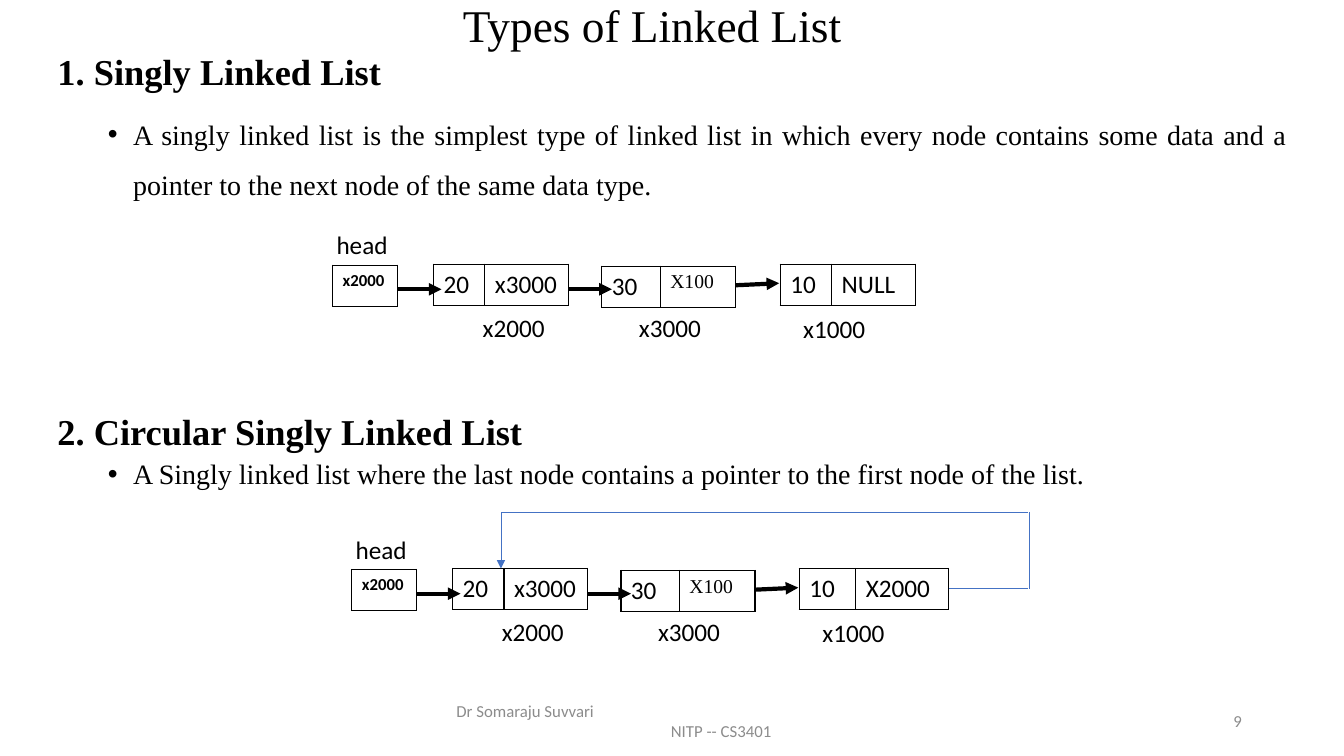
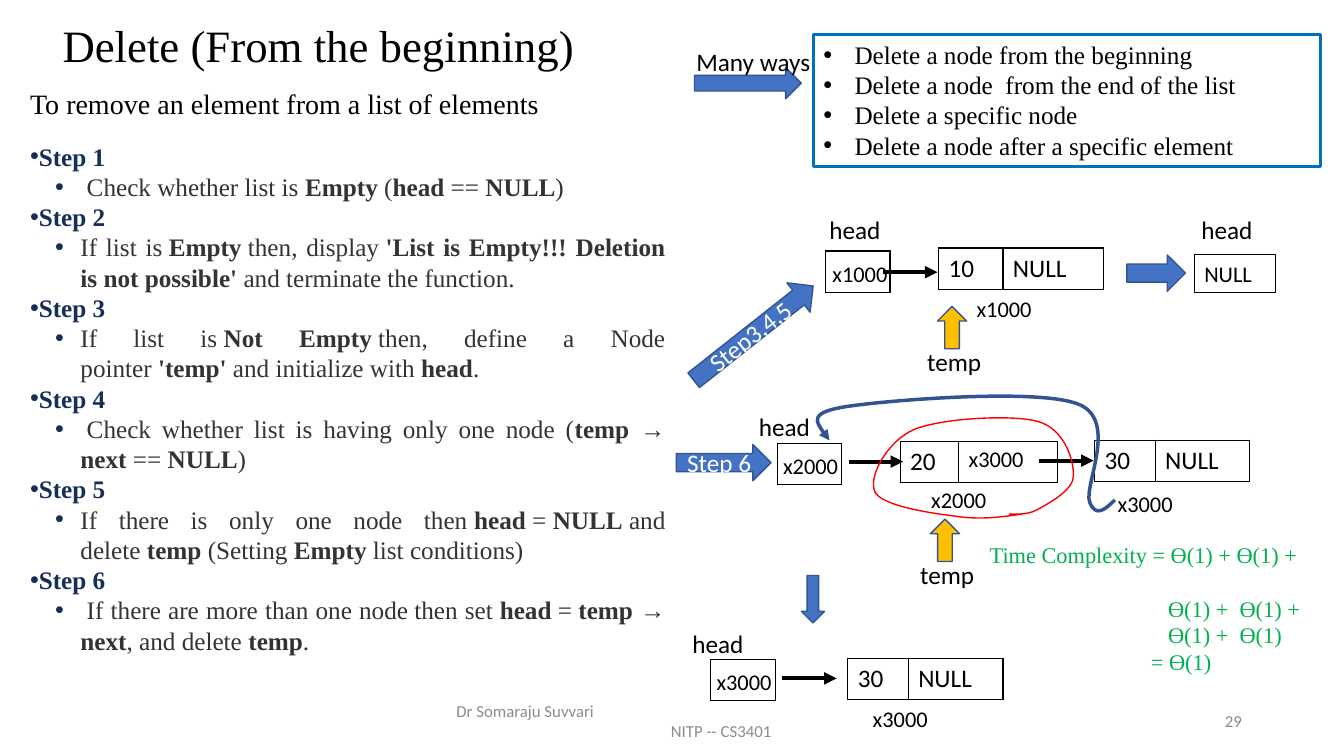
from lxml import etree
from pptx import Presentation
from pptx import util as u
from pptx.dml.color import RGBColor
from pptx.enum import shapes, text
from pptx.oxml.ns import qn

SERIF, SANS = "Times New Roman", "Calibri"
BLACK, WHITE, GREY, DARK = "000000", "FFFFFF", "8C8C8C", "333333"
BLUE, EDGE, NAVY, FRAME = "4472C4", "325491", "162F59", "0070C0"
GOLD, RED, GREEN = "FFC000", "FF0000", "00B050"
LEFT, MID = text.PP_ALIGN.LEFT, text.PP_ALIGN.CENTER
RIGHT, FULL = text.PP_ALIGN.RIGHT, text.PP_ALIGN.JUSTIFY
KIND = shapes.MSO_SHAPE

STEPS = [  # asterisks toggle bold, underscores are no-break spaces
    ("Step 1", "_Check whether list is_*Empty*_(*head*_==_*NULL*)"),
    ("Step 2", "If list is_*Empty*_then, display_*'List is Empty!!! Deletion "
               "is not possible'*_and terminate the function."),
    ("Step 3", "If list is_*Not Empty*_then, define a Node pointer_*'temp'*"
               "_and initialize with_*head*."),
    ("Step 4", "_Check whether list is having only one node (*temp → next*"
               "_==_*NULL*)"),
    ("Step 5", "If there is only one node then_*head*_=_*NULL*_and delete_"
               "*temp*_(Setting_*Empty*_list conditions)"),
    ("Step 6", "_If there are more than one node_then set_*head*_=_"
               "*temp → next*, and delete_*temp*."),
]
WAYS = ["Delete a node from the beginning",
        "Delete a node  from the end of the list",
        "Delete a specific node",
        "Delete a node after a specific element"]
RETURN = [(11.06, 4.96),
          (10.97, 5.05), (10.87, 5.14), (10.81, 4.98),
          (10.75, 4.82), (11.1, 4.17), (10.7, 4.01),
          (10.3, 3.85), (8.83, 3.97), (8.42, 4.03),
          (8.01, 4.09), (8.12, 4.23), (8.23, 4.37)]
LOOP = [(10.01, 5.1),
        (10.11, 5.1), (10.21, 5.11), (10.32, 5.04),
        (10.43, 4.98), (10.66, 4.85), (10.65, 4.71),
        (10.65, 4.56), (10.56, 4.25), (10.29, 4.18),
        (10.03, 4.11), (9.34, 4.15), (9.07, 4.26),
        (8.8, 4.38), (8.61, 4.73), (8.68, 4.88),
        (8.75, 5.02), (9.23, 5.09), (9.47, 5.12),
        (9.72, 5.16), (9.93, 5.13), (10.14, 5.1)]


def rgb(code):
    """Turn a hex string into a colour."""
    return RGBColor.from_string(code)


def emu(*sizes):
    """Turn inches into lengths."""
    return [u.Inches(s) for s in sizes]


def style(para, size, font=SANS, color=BLACK, bold=False, align=LEFT):
    """Format a paragraph and all its runs."""
    para.alignment = align
    for run in para.runs:
        run.font.size, run.font.name = u.Pt(size), font
        run.font.bold, run.font.color.rgb = bold, rgb(color)


def space(para, line, before=0):
    """Set line spacing and the gap above."""
    para.line_spacing, para.space_before = line, u.Pt(before)


def indent(para, left, first=0, dot=None):
    """Set indents and, given its colour, a round bullet."""
    props = para._p.get_or_add_pPr()
    props.set("marL", str(u.Inches(left)))
    props.set("indent", str(u.Inches(first)))
    if dot is None:
        etree.SubElement(props, qn("a:buNone"))
        return
    tint = etree.SubElement(props, qn("a:buClr"))
    etree.SubElement(tint, qn("a:srgbClr"), val=dot)
    etree.SubElement(props, qn("a:buFont"), typeface="Arial")
    etree.SubElement(props, qn("a:buChar"), char="•")


def place(shape, box):
    """Move and size a shape."""
    shape.left, shape.top, shape.width, shape.height = emu(*box)


def label(slide, words, box, size=18, font=SANS, color=BLACK, align=LEFT):
    """Add a text box, one paragraph per line of words."""
    frame = slide.shapes.add_textbox(*emu(*box)).text_frame
    frame.word_wrap = True
    frame.text = words
    for para in frame.paragraphs:
        style(para, size, font, color, align=align)
    return frame


def tag(slide, words, x, y, size=18):
    """Add a short caption of a node or pointer."""
    label(slide, words, (x, y, 1.22, 0.4 if size == 18 else 0.37), size)


def title(slide, words, box, size):
    """Fill the title placeholder."""
    shape = slide.shapes.title
    place(shape, box)
    frame = shape.text_frame
    frame.text = words
    frame.auto_size = text.MSO_AUTO_SIZE.NONE
    frame.vertical_anchor = text.MSO_ANCHOR.MIDDLE
    style(frame.paragraphs[0], size, SERIF, align=MID)
    space(frame.paragraphs[0], 0.9)


def footer(slide, number):
    """Add the author, course and slide number."""
    name = label(slide, "Dr Somaraju Suvvari\nNITP -- CS3401",
                 (4.43, 6.95, 4.5, 0.4), 12, color=GREY)
    name.paragraphs[1].alignment = MID
    indent(name.paragraphs[1], 0.95)
    page = label(slide, number, (9.42, 6.95, 3, 0.4), 12, color=GREY,
                 align=RIGHT)
    for frame in (name, page):
        frame.vertical_anchor = text.MSO_ANCHOR.MIDDLE


def border(cell):
    """Draw a thin black line on each side of a cell."""
    props = cell._tc.get_or_add_tcPr()
    for spot, side in enumerate(("lnL", "lnR", "lnT", "lnB")):
        line = etree.Element(qn("a:" + side), w=str(u.Pt(1)))
        fill = etree.SubElement(line, qn("a:solidFill"))
        etree.SubElement(fill, qn("a:srgbClr"), val=BLACK)
        props.insert(spot, line)


def node(slide, x, y, cols, words, **last):
    """Add a one-row table; extra style goes to its last cell."""
    table = slide.shapes.add_table(
        1, len(cols), *emu(x, y, sum(cols), 0.41)).table
    table.first_row = table.horz_banding = False
    for spot, (wide, word) in enumerate(zip(cols, words)):
        table.columns[spot].width = u.Inches(wide)
        cell = table.cell(0, spot)
        cell.text = word
        cell.fill.background()
        border(cell)
        extra = last if spot == len(cols) - 1 else {}
        style(cell.text_frame.paragraphs[0], **{"size": 18, **extra})


def head(shape):
    """Put an arrowhead at the end of a line."""
    line = shape.element.spPr.find(qn("a:ln"))
    etree.SubElement(line, qn("a:tailEnd"), type="triangle")


def link(slide, x, y, right, down, color=BLACK, width=3, arrow=True):
    """Add a straight line between two points."""
    line = slide.shapes.add_connector(
        shapes.MSO_CONNECTOR.STRAIGHT, *emu(x, y, right, down))
    line.line.width, line.line.color.rgb = u.Pt(width), rgb(color)
    if arrow:
        head(line)
    etree.SubElement(line.element.spPr, qn("a:effectLst"))


def paint(shape, fill, edge, width):
    """Set fill and outline, without a shadow."""
    shape.shadow.inherit = False
    if fill:
        shape.fill.solid()
        shape.fill.fore_color.rgb = rgb(fill)
    else:
        shape.fill.background()
    shape.line.color.rgb, shape.line.width = rgb(edge), u.Pt(width)


def block(slide, box, words="", kind=KIND.RIGHT_ARROW, fill=BLUE, turn=0):
    """Add a filled arrow with white text."""
    shape = slide.shapes.add_shape(kind, *emu(*box))
    paint(shape, fill, EDGE, 1)
    shape.rotation = turn
    if words:
        frame = shape.text_frame
        frame.text, frame.word_wrap = words, False
        frame.vertical_anchor = text.MSO_ANCHOR.MIDDLE
        style(frame.paragraphs[0], 18, color=WHITE, align=MID)


def panel(slide, box, words, edge, width, size, font):
    """Add an outlined box with text from its top left."""
    shape = slide.shapes.add_shape(KIND.RECTANGLE, *emu(*box))
    paint(shape, None, edge, width)
    frame = shape.text_frame
    frame.text, frame.word_wrap = words, True
    frame.vertical_anchor = text.MSO_ANCHOR.TOP
    for para in frame.paragraphs:
        style(para, size, font)
    return frame


def curve(slide, knots, color, width):
    """Draw a chain of cubic curves, three points to each."""
    form = slide.shapes.build_freeform(*emu(*knots[0]))
    form.add_line_segments([emu(*knot) for knot in knots[1:]], close=False)
    shape = form.convert_to_shape()
    legs = list(shape.element.iter(qn("a:lnTo")))
    for at in range(0, len(legs), 3):
        bend = etree.Element(qn("a:cubicBezTo"))
        legs[at].addprevious(bend)
        for leg in legs[at:at + 3]:
            bend.append(leg[0])
            leg.getparent().remove(leg)
    paint(shape, None, color, width)
    return shape


def chain(slide, x, y, cols, end):
    """Draw the head pointer and three linked nodes."""
    tag(slide, "head", x - 0.06, y - 0.4)
    node(slide, x, y, (0.64,), ("x2000",), size=12, bold=True)
    node(slide, x + 1, y - 0.01, (0.51, 0.83), ("20", "x3000"))
    node(slide, x + 4.44, y - 0.01, cols, ("10", end))
    node(slide, x + 2.67, y + 0.01, (0.58, 0.75), ("30", "X100"),
         size=14, font=SERIF)
    for word, dx, dy in (("x2000", 1.39, 0.42), ("x3000", 2.94, 0.42),
                         ("x1000", 4.57, 0.43)):
        tag(slide, word, x + dx, y + dy)
    for dx in (0.65, 2.34):
        link(slide, x + dx, y + 0.24, x + dx + 0.43, y + 0.24)
    link(slide, x + 4, y + 0.2, x + 4.43, y + 0.18)


def types(slide):
    """Build the slide on kinds of linked list."""
    title(slide, "Types of Linked List", (1.56, 0.07, 9.82, 0.42), 32.4)
    body = slide.placeholders[1]
    place(body, (0.47, 0.49, 12.4, 6.31))
    frame = body.text_frame
    frame.auto_size = text.MSO_AUTO_SIZE.NONE
    frame.text = (
        "1. Singly Linked List\n"
        "A singly linked list is the simplest type of linked list in which "
        "every node contains some data and a pointer to the next node of "
        "the same data type.\n"
        "2. Circular Singly Linked List\n"
        "A Singly linked list where the last node contains a pointer to the "
        "first node of the list.")
    gaps = ((0.9, 10), (1.5, 5), (1.5, 133), (0.9, 5))
    for spot, (para, gap) in enumerate(zip(frame.paragraphs, gaps)):
        space(para, *gap)
        if spot % 2:
            para.level = 1
            style(para, 20, SERIF, align=FULL if spot == 1 else LEFT)
            indent(para, 0.75, -0.25, BLACK)
        else:
            style(para, 26, SERIF, bold=True)
            indent(para, 0)
    chain(slide, 3.3, 2.63, (0.51, 0.83), "NULL")
    chain(slide, 3.49, 5.65, (0.56, 0.92), "X2000")
    for ends in ((9.42, 5.84, 10.2, 5.84), (10.21, 5.84, 10.21, 5.08),
                 (10.2, 5.08, 4.97, 5.08), (4.97, 5.08, 4.97, 5.64)):
        link(slide, *ends, BLUE, 0.5, arrow=ends[3] == 5.64)
    footer(slide, "9")


def steps(slide):
    """List the steps of the deletion."""
    words = "\n".join(name + "\n" for name, _ in STEPS)
    frame = label(slide, words, (0.2, 1.35, 6.5, 5.25), font=SERIF)
    paras = frame.paragraphs
    for (_, note), top, sub in zip(STEPS, paras[::2], paras[1::2]):
        style(top, 18, SERIF, NAVY, True, FULL)
        indent(top, 0, 0, NAVY)
        for part in note.replace("_", "\u00a0").split("*"):
            sub.add_run().text = part
        style(sub, 18, SERIF, DARK, align=FULL)
        for run in sub.runs[1::2]:
            run.font.bold = True
        sub.level = 1
        indent(sub, 0.5, -0.25, NAVY)


def delete(slide):
    """Build the slide on deleting the first node."""
    title(slide, "Delete (From the beginning)", (0.5, 0.13, 5.32, 0.69), 32)
    label(slide, "To remove an element from a list of elements",
          (0.2, 0.81, 5.72, 0.44), 20, SERIF)
    ways = panel(slide, (8.07, 0.34, 5.03, 1.31), "\n".join(WAYS),
                 FRAME, 2, 18, SERIF)
    for para in ways.paragraphs:
        indent(para, 0.31, -0.31, BLACK)
    block(slide, (6.89, 0.67, 1.06, 0.31))
    label(slide, "Many ways", (6.81, 0.41, 1.48, 0.4))
    steps(slide)
    for x, y in ((8.19, 2.49), (7.71, 4.4), (7.05, 6.54)):
        node(slide, x, y, (0.64,), ("",))
    node(slide, 9.31, 2.46, (0.64, 1), ("10", "NULL"))
    node(slide, 8.93, 4.38, (0.58, 0.98), ("20", "x3000"), size=16)
    for x, y in ((10.86, 4.37), (8.41, 6.53)):
        node(slide, x, y, (0.6, 0.94), ("30", "NULL"))
    for x, y in ((8.76, 2.7), (8.42, 4.58), (10.31, 4.57), (7.76, 6.73)):
        link(slide, x, y, x + 0.54, y)
    for x, y in ((8.13, 2.08), (11.82, 2.08), (7.43, 4.03), (6.77, 6.18)):
        tag(slide, "head", x, y)
    for word, x, y in (("x1000", 8.16, 2.53), ("x1000", 9.59, 2.88),
                       ("x2000", 7.67, 4.44), ("x2000", 9.14, 4.77),
                       ("x3000", 10.99, 4.81), ("x3000", 7.01, 6.58),
                       ("x3000", 8.56, 6.95)):
        tag(slide, word, x, y, 16)
    for x, y in ((9.3, 3.04), (9.23, 5.15)):
        block(slide, (x, y, 0.29, 0.42), kind=KIND.UP_ARROW, fill=GOLD)
        tag(slide, "temp", x - 0.2, y + 0.35)
    panel(slide, (11.85, 2.53, 0.8, 0.37), "NULL", BLACK, 0.75, 16, SANS)
    block(slide, (11.18, 2.53, 0.58, 0.36))
    block(slide, (6.72, 3.12, 1.51, 0.37), "Step3,4,5", turn=321.7)
    block(slide, (6.71, 4.41, 0.94, 0.36), "Step 6")
    block(slide, (7.95, 5.71, 0.23, 0.47), kind=KIND.DOWN_ARROW)
    head(curve(slide, RETURN, EDGE, 2.5))
    curve(slide, LOOP, RED, 1)
    cost = label(slide, "Time Complexity = Ɵ(1) + Ɵ(1) +\nƟ(1) +  Ɵ(1) +\n"
                 "Ɵ(1) +  Ɵ(1)\n= Ɵ(1)", (9.72, 5.32, 3.38, 1.18), 16,
                 SERIF, GREEN).paragraphs
    cost[1].space_before = u.Pt(19)
    for para, left in zip(cost[1:], (1.77, 1.77, 1.6)):
        indent(para, left)
    footer(slide, "29")


def main():
    """Build and save the deck."""
    deck = Presentation()
    deck.slide_width, deck.slide_height = emu(40 / 3, 7.5)
    for layout, build in ((1, types), (5, delete)):
        build(deck.slides.add_slide(deck.slide_layouts[layout]))
    deck.save("out.pptx")


main()
